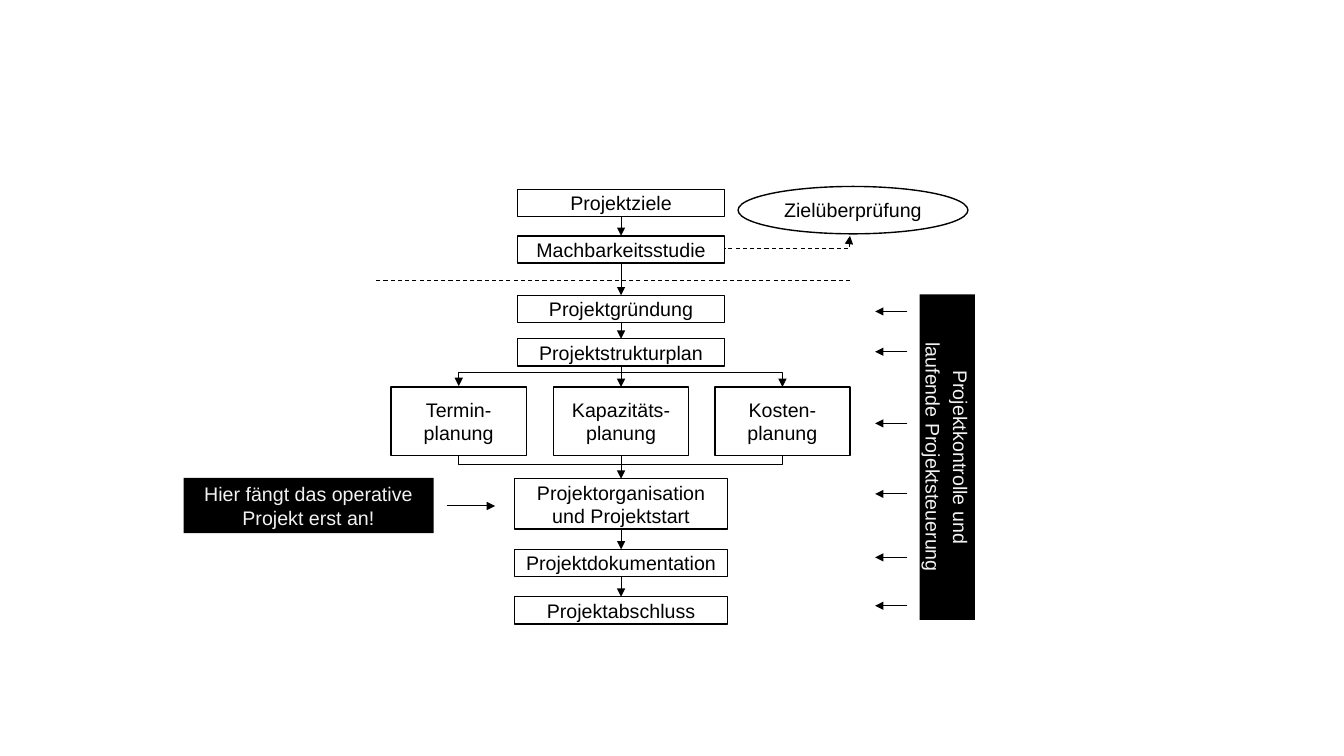
from lxml import etree
from pptx import Presentation
from pptx.dml.color import RGBColor
from pptx.enum import dml, shapes, text
from pptx.oxml.ns import qn
from pptx.util import Inches, Pt

BLACK, WHITE, PALE = "000000", "FFFFFF", "F2F2F2"
AXIS = 6.16


def color(hex_code):
    return RGBColor.from_string(hex_code)


def add_label(slide, area, paragraphs, fill=WHITE, ink=BLACK,
              outline=1, kind=shapes.MSO_SHAPE.RECTANGLE):
    label = slide.shapes.add_shape(kind, *map(Inches, area))
    label.shadow.inherit = False
    label.fill.solid()
    label.fill.fore_color.rgb = color(fill)
    if outline:
        label.line.color.rgb = color(BLACK)
        label.line.width = Pt(outline)
    else:
        label.line.fill.background()
    frame = label.text_frame
    frame.word_wrap = True
    frame.vertical_anchor = text.MSO_ANCHOR.MIDDLE
    frame.margin_left = frame.margin_right = Inches(0.08)
    frame.margin_top = frame.margin_bottom = Inches(0)
    for index, wording in enumerate(paragraphs):
        paragraph = frame.add_paragraph() if index else frame.paragraphs[0]
        paragraph.alignment = text.PP_ALIGN.CENTER
        if index:
            paragraph.space_before = Pt(2.8)
        run = paragraph.add_run()
        run.text = wording
        run.font.name = "Arial"
        run.font.size = Pt(14)
        run.font.color.rgb = color(ink)
    return label


def add_line(slide, start, end, arrows=(), dashed=False,
             kind=shapes.MSO_CONNECTOR.STRAIGHT):
    line = slide.shapes.add_connector(kind, *map(Inches, (*start, *end)))
    line.line.color.rgb = color(BLACK)
    line.line.width = Pt(0.75)
    if dashed:
        line.line.dash_style = dml.MSO_LINE.DASH
    outline = line.line._get_or_add_ln()
    for arrow in arrows:
        etree.SubElement(outline, qn(f"a:{arrow}"), type="triangle")
    etree.SubElement(line.element.spPr, qn("a:effectLst"))
    return line


def add_elbow(slide, area, rotation, flipped, bend, arrows=(), dashed=False):
    left, top, width, height = area
    elbow = add_line(slide, (left, top), (left + width, top + height),
                     arrows, dashed, shapes.MSO_CONNECTOR.ELBOW)
    properties = elbow.element.spPr
    frame = properties.find(qn("a:xfrm"))
    frame.set("rot", str(rotation * 60000))
    if flipped:
        frame.set("flipV", "1")
    guides = properties.find(qn("a:prstGeom")).get_or_add_avLst()
    etree.SubElement(guides, qn("a:gd"), name="adj1",
                     fmla=f"val {round(bend * 100000)}")


def main():
    deck = Presentation()
    deck.slide_width, deck.slide_height = Inches(13.33), Inches(7.5)
    slide = deck.slides.add_slide(deck.slide_layouts[6])

    phases = [
        ("Projektziele", 1.88, 2.05, 0.27),
        ("Machbarkeitsstudie", 2.34, 2.05, 0.27),
        ("Projektgründung", 2.93, 2.05, 0.27),
        ("Projektstrukturplan", 3.36, 2.05, 0.27),
        ("Kapazitäts-planung", 3.84, 1.34, 0.68),
        ("Projektorganisation und Projektstart", 4.75, 2.11, 0.5),
        ("Projektdokumentation", 5.45, 2.11, 0.27),
        ("Projektabschluss", 5.92, 2.11, 0.27),
    ]
    for wording, top, width, height in phases:
        add_label(slide, (AXIS - width / 2, top, width, height), [wording])
    for wording, left in (("Termin-planung", 3.88), ("Kosten-planung", 7.09)):
        add_label(slide, (left, 3.84, 1.34, 0.68), [wording])

    for (_, top, _, height), (_, next_top, _, _) in zip(phases, phases[1:]):
        add_line(slide, (AXIS, top + height), (AXIS, next_top), ["tailEnd"])
    add_elbow(slide, (6.15, 2.23, 0.01, 3.21), 270, True, 15,
              ["headEnd", "tailEnd"])
    add_elbow(slide, (6.15, 2.91, 0.01, 3.21), 90, False, 10)

    add_label(slide, (7.32, 1.85, 2.28, 0.47), ["Zielüberprüfung"],
              kind=shapes.MSO_SHAPE.OVAL)
    add_elbow(slide, (7.19, 2.34, 1.24, 0.13), 180, True, 0.007,
              ["headEnd"], dashed=True)
    add_line(slide, (8.43, 2.78), (3.72, 2.78), dashed=True)

    control = add_label(slide, (7.78, 4.26, 3.23, 0.55),
                        ["Projektkontrolle und", "laufende Projektsteuerung"],
                        BLACK, PALE, outline=0)
    control.rotation = 90
    for level in (3.09, 3.49, 4.2, 4.9, 5.53, 6.01):
        add_line(slide, (9, level), (8.68, level), ["tailEnd"])

    add_label(slide, (1.82, 4.74, 2.48, 0.55),
              ["Hier fängt das operative Projekt erst an!"],
              BLACK, PALE, outline=0)
    add_line(slide, (4.43, 5.02), (4.91, 5.02), ["tailEnd"])

    deck.save("out.pptx")


if __name__ == "__main__":
    main()
